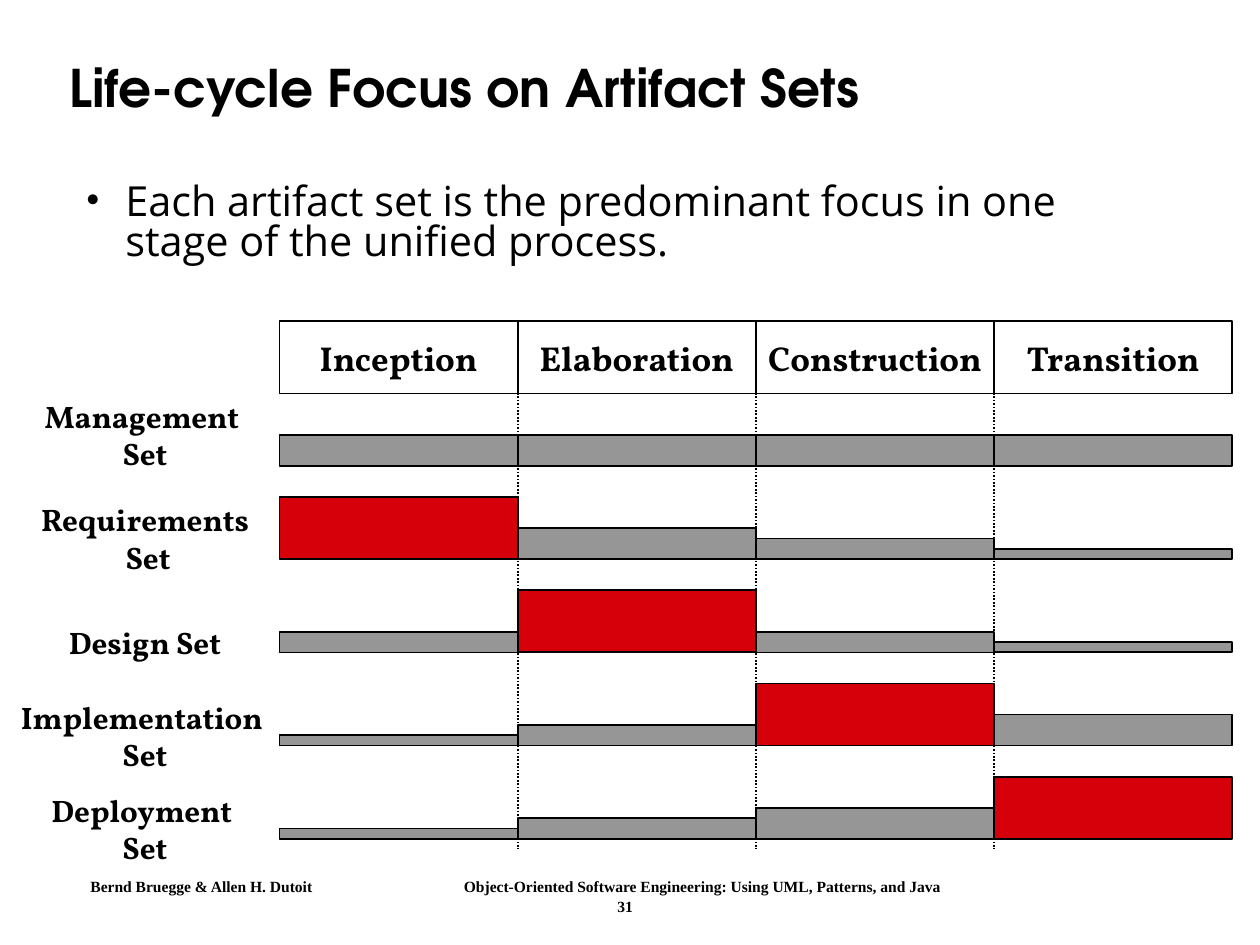
"""Build the slide on the life-cycle focus of artifact sets."""
from lxml.etree import SubElement
from pptx import Presentation
from pptx.dml.color import RGBColor
from pptx.enum.dml import MSO_LINE
from pptx.enum.shapes import MSO_CONNECTOR, MSO_SHAPE
from pptx.enum.text import MSO_ANCHOR, PP_ALIGN
from pptx.oxml.ns import qn
from pptx.util import Inches, Pt

COLORS = {"ink": "000000", "paper": "FFFFFF", "minor": "969696", "focus": "D5000A"}
HEADING, BODY, LABEL, FOOTER = "TeX Gyre Adventor", "Open Sans", "Vollkorn", "Times New Roman"

SLIDE_WIDTH = 730 / 72
SLIDE_HEIGHT = SLIDE_WIDTH * 3 / 4
UNIT = 1 / 12
CHART_LEFT, CHART_TOP = 2.25, 31 * UNIT
HEADER_HEIGHT, GUIDE_BOTTOM = 7 * UNIT, 82 * UNIT
PHASE_WIDTH = 23 * UNIT
FIRST_BASELINE, ROW_PITCH = 3.75, 0.75
LABEL_CENTER, LABEL_HEIGHT = 14 * UNIT, 0.5
FOCUS_LEVEL = 6

PHASES = ["Inception", "Elaboration", "Construction", "Transition"]
ARTIFACT_SETS = [
    ("Management \nSet", 3.25, 1.92, (3, 3, 3, 3)),
    ("Requirements\n Set", 4.08, 1.92, (6, 3, 2, 1)),
    ("Design Set", 4.92, 1.42, (2, 6, 2, 1)),
    ("Implementation \nSet", 5.67, 2, (1, 2, 6, 3)),
    ("Deployment \nSet", 6.42, 1.67, (1, 2, 3, 6)),
]
FOOTERS = [
    ("Bernd Bruegge & Allen H. Dutoit", 1.62, 7.02, 2.2),
    ("Object-Oriented Software Engineering: Using UML, Patterns, and Java", 5.65, 7.02, 4.4),
    ("31", 5.03, 7.18, 0.5),
]


def color(name):
    """Return a palette colour."""
    return RGBColor.from_string(COLORS[name])


def write(holder, words, font_name, size, bold=True, align=PP_ALIGN.CENTER,
          anchor=MSO_ANCHOR.MIDDLE, wrap=False):
    """Fill a shape with styled paragraphs and return its text frame."""
    frame = holder.text_frame
    frame.text = words
    frame.word_wrap = wrap
    frame.vertical_anchor = anchor
    for paragraph in frame.paragraphs:
        paragraph.alignment = align
        paragraph.font.name = font_name
        paragraph.font.size = Pt(size)
        paragraph.font.bold = bold
        paragraph.font.color.rgb = color("ink")
    return frame


def add_text(slide, left, top, width, height, words, *style, **options):
    """Add a text box and return its text frame."""
    holder = slide.shapes.add_textbox(Inches(left), Inches(top), Inches(width), Inches(height))
    return write(holder, words, *style, **options)


def add_box(slide, left, top, width, height, fill, outlined=True):
    """Add a flat rectangle."""
    box = slide.shapes.add_shape(MSO_SHAPE.RECTANGLE, Inches(left), Inches(top),
                                 Inches(width), Inches(height))
    box.shadow.inherit = False
    box.fill.solid()
    box.fill.fore_color.rgb = color(fill)
    if outlined:
        box.line.color.rgb = color("ink")
        box.line.width = Pt(1)
    else:
        box.line.fill.background()
    return box


def add_guide(slide, x):
    """Add a dotted vertical line between two phases."""
    guide = slide.shapes.add_connector(MSO_CONNECTOR.STRAIGHT, Inches(x), Inches(CHART_TOP),
                                       Inches(x), Inches(GUIDE_BOTTOM))
    guide.line.color.rgb = color("ink")
    guide.line.width = Pt(1)
    guide.line.dash_style = MSO_LINE.ROUND_DOT
    SubElement(guide._element.spPr, qn("a:effectLst"))


def add_bullet(paragraph):
    """Give a paragraph a round bullet with a hanging indent."""
    properties = paragraph._p.get_or_add_pPr()
    properties.set("marL", str(Inches(0.32)))
    properties.set("indent", str(Inches(-0.32)))
    bullet_color = SubElement(properties, qn("a:buClr"))
    SubElement(bullet_color, qn("a:srgbClr")).set("val", COLORS["ink"])
    SubElement(properties, qn("a:buFont")).set("typeface", FOOTER)
    SubElement(properties, qn("a:buChar")).set("char", "•")
    properties.append(properties.find(qn("a:defRPr")))


def add_intro(slide):
    """Add the title and the bulleted statement."""
    title = add_text(slide, 0.46, 0.25, 9.04, 0.96, "Life-cycle Focus on Artifact Sets",
                     HEADING, 30, align=PP_ALIGN.LEFT, wrap=True)
    title.paragraphs[0].line_spacing = 0.9
    statement = add_text(
        slide, 0.59, 1.44, 8.87, 0.76,
        "Each artifact set is the predominant focus in one stage of the unified process.",
        BODY, 24, bold=False, align=PP_ALIGN.LEFT, anchor=MSO_ANCHOR.TOP, wrap=True,
    ).paragraphs[0]
    statement.line_spacing = 0.8
    statement.space_before = Pt(9)
    add_bullet(statement)


def add_focus_chart(slide):
    """Add the phase headers, guides, set labels and focus bars."""
    phase_lefts = [CHART_LEFT + i * PHASE_WIDTH for i in range(len(PHASES))]
    for phase, left in zip(PHASES, phase_lefts):
        header = add_box(slide, left, CHART_TOP, PHASE_WIDTH, HEADER_HEIGHT, "paper")
        write(header, phase, LABEL, 20)
    for left in phase_lefts[1:]:
        add_guide(slide, left)
    for name, top, width, _ in ARTIFACT_SETS:
        label = add_box(slide, LABEL_CENTER - width / 2, top, width, LABEL_HEIGHT,
                        "paper", outlined=False)
        write(label, name, LABEL, 18)
    for row, (_, _, _, levels) in enumerate(ARTIFACT_SETS):
        baseline = FIRST_BASELINE + row * ROW_PITCH
        for left, level in zip(phase_lefts, levels):
            height = level * UNIT
            fill = "focus" if level == FOCUS_LEVEL else "minor"
            add_box(slide, left, baseline - height, PHASE_WIDTH, height, fill)


def add_footers(slide):
    """Add the authors, the book title and the page number."""
    for words, center, top, width in FOOTERS:
        add_text(slide, center - width / 2, top, width, 0.23, words, FOOTER, 9)


def main():
    """Build and save the presentation."""
    presentation = Presentation()
    presentation.slide_width = Inches(SLIDE_WIDTH)
    presentation.slide_height = Inches(SLIDE_HEIGHT)
    slide = presentation.slides.add_slide(presentation.slide_layouts[6])
    add_footers(slide)
    add_intro(slide)
    add_focus_chart(slide)
    presentation.save("out.pptx")


if __name__ == "__main__":
    main()
